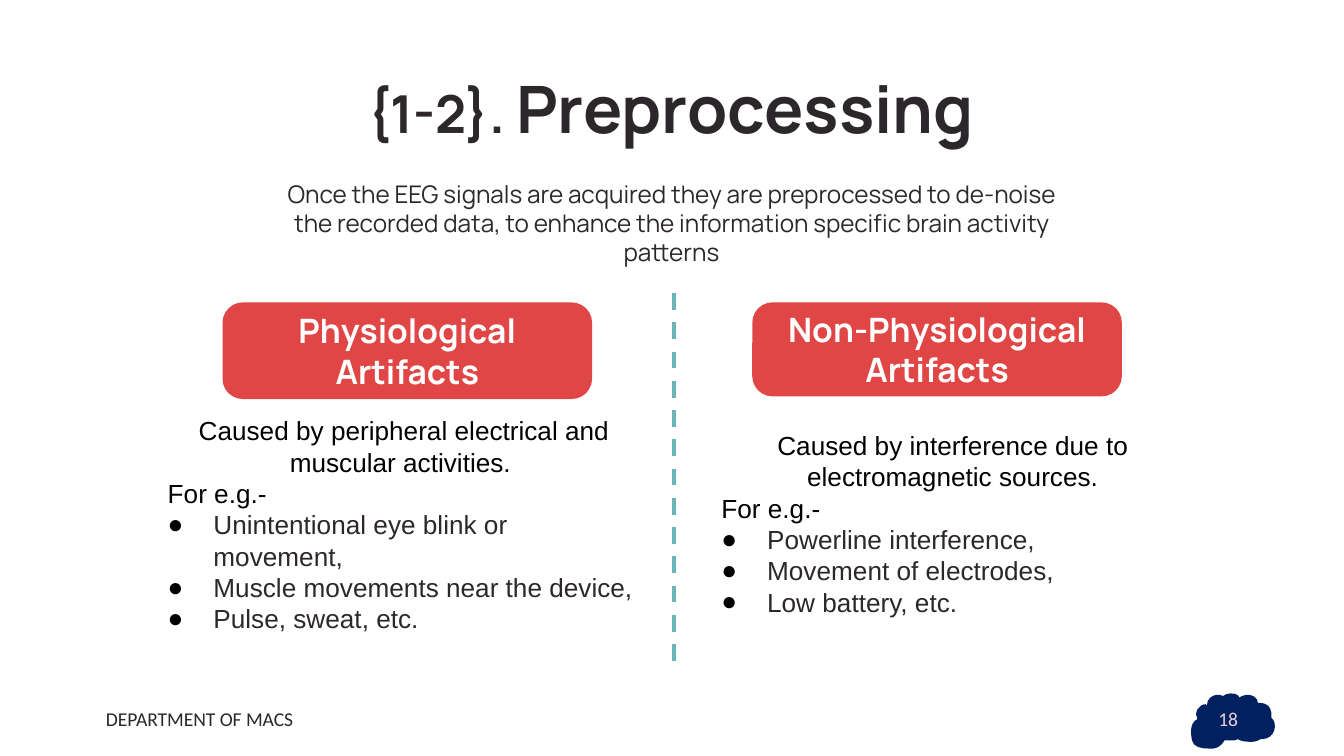
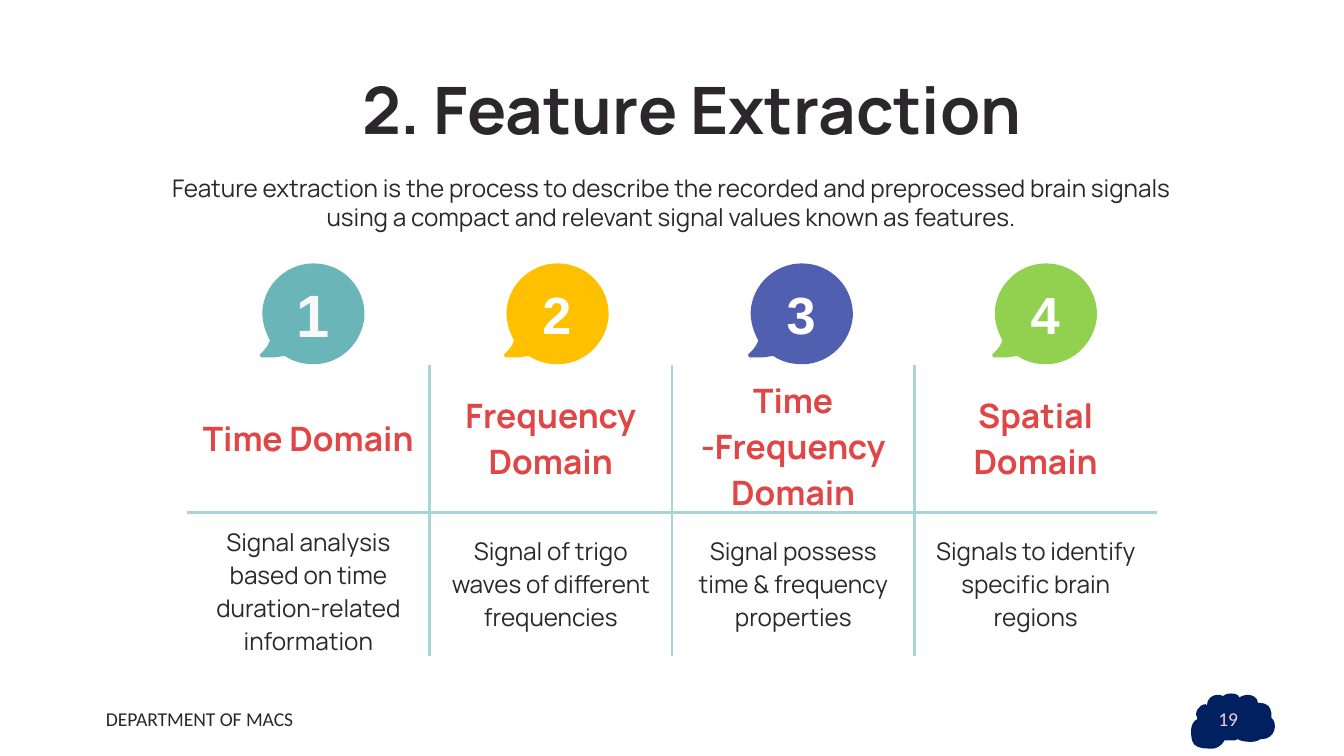
import pptx
import pptx.dml.color
import pptx.enum.dml
import pptx.enum.shapes
import pptx.enum.text
import pptx.oxml.ns
import pptx.util
import lxml.etree

Pt = pptx.util.Pt
ALIGN = pptx.enum.text.PP_ALIGN
ANCHOR = pptx.enum.text.MSO_ANCHOR

INK, BLACK, WHITE = "2C272B", "000000", "FFFFFF"
RED, TEAL, PALE_TEAL, NAVY = "E14646", "69B5B7", "AAD5D6", "002060"

TITLE = {"name": "Manrope", "size": 35, "bold": True, "color": INK}
TITLE_NUMBER = {**TITLE, "size": 28}
LEAD = {"name": "Manrope", "size": 13, "bold": False, "color": INK}
HEADING = {"name": "Manrope", "size": 18, "bold": True, "color": RED}
BUTTON = {**HEADING, "color": WHITE}
BODY = {"name": "Arial", "size": 14, "color": BLACK}
ITEM = {**BODY, "color": INK}
DIGIT = {"name": "Arial", "size": 28, "bold": True, "color": WHITE}
FOOTER = {"name": "Calibri", "size": 10.5, "color": INK}
PAGE_NUMBER = {**FOOTER, "color": "EACFDB"}

INSET = 7.2
INSETS = (INSET, INSET, INSET, INSET)
FOOTER_INSETS = (INSET, 3.6, INSET, 3.6)
FOOTER_TOP, FOOTER_SIZE = 375, (162, 21.6)

SLIDES = [
    {
        "number": "18",
        "title": [("{1-2}. ", TITLE_NUMBER), ("Preprocessing", TITLE)],
        "title_area": (45.4, 34.6, 627.8, 45.4),
        "lead": "Once the EEG signals are acquired they are preprocessed to de-noise "
                "the recorded data, to enhance the information specific brain activity patterns",
        "lead_area": (136.8, 88.6, 445.7, 50.4),
    },
    {
        "number": "19",
        "title": [("2. Feature Extraction", TITLE)],
        "title_area": (56.9, 35.3, 627.8, 45.4),
        "lead": "Feature extraction is the process to describe the recorded and preprocessed "
                "brain signals using a compact and relevant signal values known as features.",
        "lead_area": (81.4, 85.7, 555.8, 50.4),
    },
]

ARTIFACTS = [
    {
        "heading": "Physiological Artifacts",
        "button_area": (119.2, 162, 198, 51.8),
        "area": (71.3, 198.7, 280.8, 198.7),
        "insets": (INSET, INSET, 9, 41.5),
        "cause": "Caused by peripheral electrical and muscular activities. ",
        "examples": ["Unintentional eye blink or movement,",
                     "Muscle movements near the device,", "Pulse, sweat, etc."],
    },
    {
        "heading": "Non-Physiological Artifacts",
        "button_area": (403, 162, 198, 50.4),
        "area": (367.9, 202.3, 273.6, 156.2),
        "insets": INSETS,
        "cause": "Caused by interference due to electromagnetic sources.",
        "examples": ["Powerline interference,", "Movement of electrodes,", "Low battery, etc."],
    },
]
CORNER_RADIUS = 10.9
DIVIDER = (361.1, 157, 354.2)

DOMAINS = [
    ("Time Domain", "Signal analysis based on time duration-related information",
     TEAL, {**DIGIT, "size": 32, "color": "F8F8F8"}),
    ("Frequency Domain", "Signal of trigo waves of different frequencies", "FFC000", DIGIT),
    ("Time -Frequency Domain", "Signal possess time & frequency properties", "515FB0", DIGIT),
    ("Spatial Domain", "Signals to identify specific brain regions", "92D050", DIGIT),
]
TABLE_LEFT, TABLE_TOP, COLUMN_WIDTH, ROW_HEIGHT = 100.2, 195.4, 129.9, 61.2
BUBBLE_LEFT, BUBBLE_TOP, BUBBLE_STEP = 139.1, 141.1, 130.8

OUTLINE_UNIT = 0.72
CLOUD_PLACE = (637.2, 371.5)
CLOUD = [
    (31, 0), (34, 0, 37, 1, 37, 3), (39, 2, 41, 1, 43, 1), (47, 1, 51, 3, 51, 7),
    (51, 7, 51, 7, 51, 7), (54, 7, 62, 7, 61, 18), (66, 22, 64, 34, 54, 34),
    (54, 34, 53, 34, 53, 34), (50, 36, 47, 36, 45, 36), (41, 36, 37, 35, 36, 34),
    (35, 35, 33, 35, 32, 35), (29, 35, 26, 35, 26, 35), (26, 35, 24, 40, 18, 41),
    (17, 41, 15, 41, 14, 41), (9, 41, 3, 40, 2, 35), (1, 30, 0, 22, 6, 19),
    (3, 15, 7, 8, 12, 8), (12, 8, 13, 9, 13, 9), (13, 4, 17, 1, 21, 1),
    (22, 1, 24, 1, 25, 2), (26, 1, 28, 0, 31, 0),
]
BUBBLE = [
    (40, 0), (40, 0, 40, 0, 40, 0), (20, 0, 3, 16, 2, 36), (2, 44, 4, 50, 7, 56),
    (8, 57, 8, 58, 7, 59), (6, 62, 3, 65, 0, 68), (0, 69, 0, 69, 1, 70),
    (2, 70, 4, 70, 6, 70), (10, 70, 13, 70, 17, 69), (17, 69, 17, 69, 17, 69),
    (18, 69, 18, 69, 19, 69), (25, 73, 32, 75, 40, 75), (41, 75, 41, 75, 42, 75),
    (61, 74, 76, 59, 78, 40), (79, 18, 62, 0, 40, 0),
]


def rgb(color):
    return pptx.dml.color.RGBColor.from_string(color)


def add_element(parent, tag, **values):
    return lxml.etree.SubElement(parent, pptx.oxml.ns.qn(tag), values)


def add_spans(para, runs):
    for text, style in runs:
        span = para.add_run()
        span.text = text
        for key, value in style.items():
            if key == "color":
                span.font.color.rgb = rgb(value)
            else:
                setattr(span.font, key, Pt(value) if key == "size" else value)


def set_indent(para, left, first=0, bullet=None):
    properties = para._p.get_or_add_pPr()
    properties.set("marL", str(Pt(left)))
    properties.set("indent", str(Pt(first)))
    if bullet:
        add_element(add_element(properties, "a:buClr"), "a:srgbClr", val=BLACK)
        add_element(properties, "a:buFont", typeface="Arial")
        add_element(properties, "a:buChar", char=bullet)


def set_margins(target, insets=INSETS):
    target.vertical_anchor = ANCHOR.MIDDLE
    for side, value in zip(("left", "top", "right", "bottom"), insets):
        setattr(target, "margin_" + side, Pt(value))


def write_line(frame, runs, align=ALIGN.CENTER):
    para = frame.paragraphs[0]
    para.alignment = align
    add_spans(para, runs)


def add_text(page, area, runs, align=ALIGN.CENTER, insets=INSETS, anchor=ANCHOR.MIDDLE):
    box = page.shapes.add_textbox(*map(Pt, area))
    frame = box.text_frame
    frame.word_wrap = True
    set_margins(frame, insets)
    frame.vertical_anchor = anchor
    write_line(frame, runs, align)


def paint(shape, color):
    shape.shadow.inherit = False
    shape.fill.solid()
    shape.fill.fore_color.rgb = rgb(color)
    shape.line.fill.background()


def write_label(shape, text, style):
    shape.text_frame.word_wrap = True
    set_margins(shape.text_frame)
    write_line(shape.text_frame, [(text, style)])


def add_outline(page, outline, left, top, color):
    numbers = [number for part in outline for number in part]
    places = [(Pt(left + x * OUTLINE_UNIT), Pt(top + y * OUTLINE_UNIT))
              for x, y in zip(numbers[::2], numbers[1::2])]
    builder = page.shapes.build_freeform(*places[0])
    builder.add_line_segments(places[1:], close=True)
    shape = builder.convert_to_shape()
    segments = list(shape._element.iter(pptx.oxml.ns.qn("a:lnTo")))
    for index in range(0, len(outline) * 3 - 3, 3):
        first, *others = segments[index:index + 3]
        curve = lxml.etree.Element(pptx.oxml.ns.qn("a:cubicBezTo"))
        first.addprevious(curve)
        for segment in (first, *others):
            curve.append(segment[0])
            segment.getparent().remove(segment)
    paint(shape, color)
    return shape


def start_page(deck, content):
    page = deck.slides.add_slide(deck.slide_layouts[6])
    page.background.fill.solid()
    page.background.fill.fore_color.rgb = rgb(WHITE)
    add_text(page, content["title_area"], content["title"])
    add_text(page, content["lead_area"], [(content["lead"], LEAD)], anchor=ANCHOR.TOP)
    add_outline(page, CLOUD, *CLOUD_PLACE, NAVY)
    for left, text, style, align in (
        (49.7, "DEPARTMENT OF MACS", FOOTER, ALIGN.LEFT),
        (508.3, content["number"], PAGE_NUMBER, ALIGN.RIGHT),
    ):
        add_text(page, (left, FOOTER_TOP, *FOOTER_SIZE), [(text, style)], align,
                 FOOTER_INSETS, ANCHOR.TOP)
    return page


def add_artifact(page, artifact):
    box = page.shapes.add_textbox(*map(Pt, artifact["area"]))
    frame = box.text_frame
    frame.word_wrap = True
    set_margins(frame, artifact["insets"])
    lines = [(artifact["cause"], BODY, ALIGN.CENTER, (11.5,)),
             ("For e.g.-", BODY, ALIGN.LEFT, (11.5,))]
    lines += [(text, ITEM, ALIGN.LEFT, (36, -24.5, "●")) for text in artifact["examples"]]
    for index, (text, style, align, indent) in enumerate(lines):
        para = frame.add_paragraph() if index else frame.paragraphs[0]
        set_indent(para, *indent)
        para.alignment = align
        add_spans(para, [(text, style)])

    area = artifact["button_area"]
    button = page.shapes.add_shape(pptx.enum.shapes.MSO_SHAPE.ROUNDED_RECTANGLE, *map(Pt, area))
    button.adjustments[0] = CORNER_RADIUS / area[3]
    paint(button, RED)
    write_label(button, artifact["heading"], BUTTON)


def add_divider(page):
    x, top, bottom = map(Pt, DIVIDER)
    divider = page.shapes.add_connector(pptx.enum.shapes.MSO_CONNECTOR.STRAIGHT, x, top, x, bottom)
    divider.line.color.rgb = rgb(TEAL)
    divider.line.width = Pt(2.25)
    divider.line.dash_style = pptx.enum.dml.MSO_LINE.DASH
    add_element(divider._element.spPr, "a:effectLst")


def set_borders(cell, visible):
    properties = cell._tc.get_or_add_tcPr()
    for index, side in enumerate("LRTB"):
        border = add_element(properties, "a:ln" + side, w=str(Pt(1.5)))
        if side in visible:
            add_element(add_element(border, "a:solidFill"), "a:srgbClr", val=PALE_TEAL)
        else:
            add_element(border, "a:noFill")
        properties.insert(index, border)


def add_domain_table(page):
    count = len(DOMAINS)
    holder = page.shapes.add_table(2, count, Pt(TABLE_LEFT), Pt(TABLE_TOP),
                                   Pt(COLUMN_WIDTH * count), Pt(ROW_HEIGHT * 2))
    table = holder.table
    table.first_row = table.horz_banding = False
    for column, (heading, detail, _, _) in enumerate(DOMAINS):
        for row, (text, style) in enumerate(((heading, HEADING), (detail, LEAD))):
            cell = table.cell(row, column)
            set_margins(cell)
            write_line(cell.text_frame, [(text, style)])
            cell.fill.background()
            visible = "T" if row else "B"
            visible += "L" if column else ""
            visible += "R" if column < count - 1 else ""
            set_borders(cell, visible)


def add_bubbles(page):
    for index, (_, _, color, style) in enumerate(DOMAINS):
        bubble = add_outline(page, BUBBLE, BUBBLE_LEFT + index * BUBBLE_STEP, BUBBLE_TOP, color)
        write_label(bubble, str(index + 1), style)


def main():
    deck = pptx.Presentation()
    deck.slide_width, deck.slide_height = Pt(720), Pt(405)
    preprocessing, extraction = [start_page(deck, content) for content in SLIDES]
    for artifact in ARTIFACTS:
        add_artifact(preprocessing, artifact)
    add_divider(preprocessing)
    add_domain_table(extraction)
    add_bubbles(extraction)
    deck.save("out.pptx")


if __name__ == "__main__":
    main()
